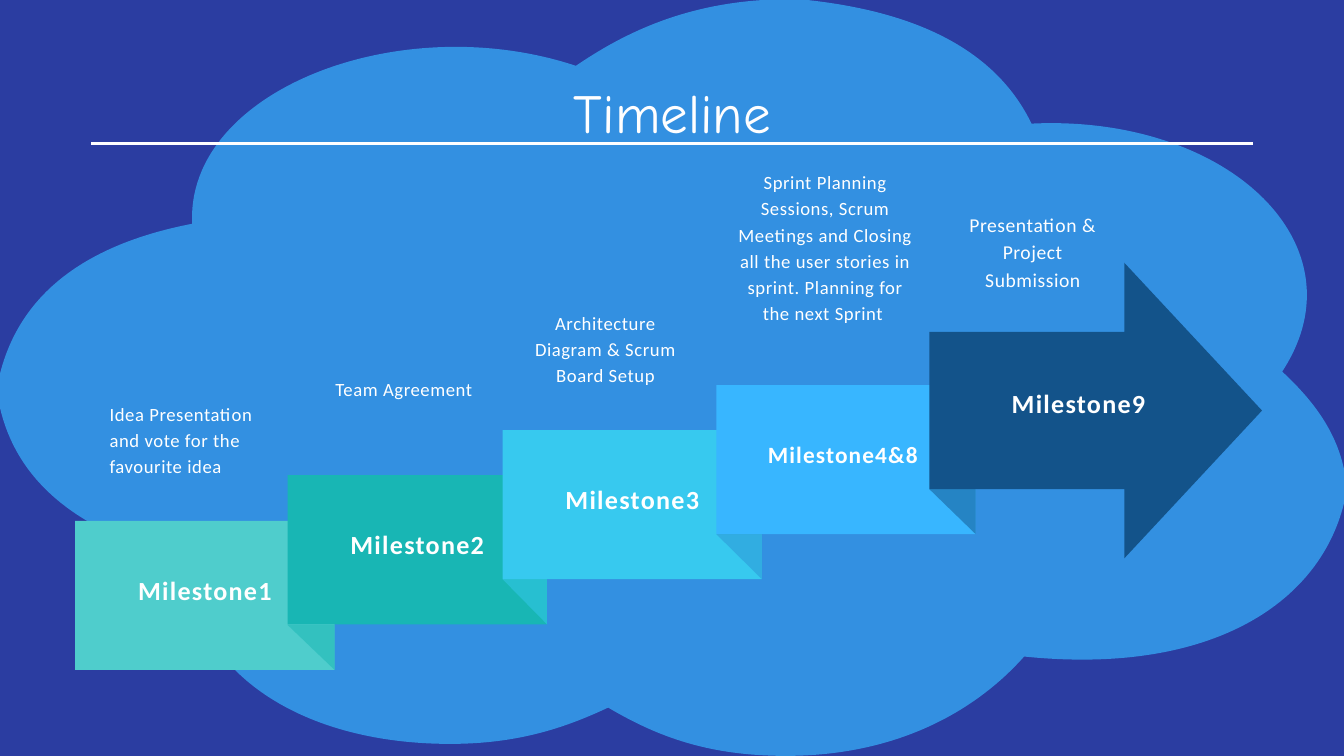
from dataclasses import dataclass
from pptx import Presentation
from pptx.dml.color import RGBColor
from pptx.enum.shapes import MSO_CONNECTOR, MSO_SHAPE
from pptx.enum.text import MSO_ANCHOR, MSO_AUTO_SIZE, PP_ALIGN
from pptx.oxml.ns import qn
from pptx.util import Inches, Pt
from lxml.etree import SubElement


@dataclass(frozen=True)
class Theme:
    back: str = "2B3DA1"
    sky: str = "38B6FF"
    white: str = "FFFFFF"
    pale: str = "FEFEFF"
    navy: str = "13538A"
    fold: str = "2C92D5"
    mint: str = "4FCDCC"
    teal: str = "18B6B4"
    cyan: str = "37C9EF"
    head: str = "Comic Neue"
    body: str = "Calibri"
    title: int = 59
    label: int = 28
    small: int = 25
    note: int = 20
    last: int = 21


class Deck:
    def __init__(self, theme):
        self.theme = theme
        self.file = Presentation()
        self.file.slide_width = Inches(20)
        self.file.slide_height = Inches(11.25)
        self.slide = self.file.slides.add_slide(self.file.slide_layouts[6])
        fill = self.slide.background.fill
        fill.solid()
        fill.fore_color.rgb = RGBColor.from_string(theme.back)

    def paint(self, shape, color, alpha=100):
        shape.shadow.inherit = False
        shape.line.fill.background()
        shape.fill.solid()
        shape.fill.fore_color.rgb = RGBColor.from_string(color)
        if alpha < 100:
            tint = shape.fill._xPr.find(qn("a:solidFill"))[0]
            SubElement(tint, qn("a:alpha")).set("val", str(alpha * 1000))
        return shape

    def block(self, kind, box, color):
        shape = self.slide.shapes.add_shape(kind, *map(Inches, box))
        return self.paint(shape, color)

    def outline(self, points, color, alpha):
        spots = [(Inches(x), Inches(y)) for x, y in points]
        pen = self.slide.shapes.build_freeform(*spots[0], scale=1.0)
        pen.add_line_segments(spots[1:], close=True)
        return self.paint(pen.convert_to_shape(), color, alpha)

    def curve(self, points, color, alpha):
        """Outline whose points after the first are Bezier triples."""
        shape = self.outline(points, color, alpha)
        lines = list(shape._element.iter(qn("a:lnTo")))
        for first, second, third in zip(*[iter(lines)] * 3):
            first.tag = qn("a:cubicBezTo")
            for other in (second, third):
                first.append(other[0])
                other.getparent().remove(other)

    def rule(self, start, end, color, width):
        line = self.slide.shapes.add_connector(
            MSO_CONNECTOR.STRAIGHT, *map(Inches, start + end))
        line.line.color.rgb = RGBColor.from_string(color)
        line.line.width = Pt(width)
        SubElement(line._element.spPr, qn("a:effectLst"))

    def text(self, words, box, size, color, font=None, space=0, bold=False,
             align=PP_ALIGN.CENTER, inset=0, middle=False):
        frame = self.slide.shapes.add_textbox(*map(Inches, box)).text_frame
        frame.word_wrap = True
        frame.margin_left = frame.margin_right = Inches(inset)
        frame.margin_top = frame.margin_bottom = Inches(inset)
        if middle:
            frame.vertical_anchor = MSO_ANCHOR.MIDDLE
        else:
            frame.auto_size = MSO_AUTO_SIZE.SHAPE_TO_FIT_TEXT
        frame.text = words
        para = frame.paragraphs[0]
        para.alignment = align
        para.line_spacing = Pt(size * 1.4)
        run = para.runs[0]
        run.font.size = Pt(size)
        run.font.name = font or self.theme.body
        run.font.bold = bold
        run.font.color.rgb = RGBColor.from_string(color)
        if space:
            run.font._element.set("spc", str(round(space * 100)))

    def label(self, words, box, size):
        self.text(words, box, size, self.theme.white, space=size / 20,
                  bold=True, inset=0.06, middle=True)


CLOUD = [
    (11.36, 0),
    (11.57, 0), (11.8, 0), (12.01, 0),
    (13.76, 0.19), (14.85, 0.81), (15.35, 1.84),
    (18.26, 1.7), (20.32, 3.64), (19.08, 5.53),
    (19.51, 5.93), (19.87, 6.38), (20, 6.98),
    (20, 7.15), (20, 7.32), (20, 7.49),
    (19.62, 9.02), (17.96, 10.05), (15.24, 9.77),
    (14.54, 10.56), (13.29, 11.34), (11.36, 11.24),
    (10.35, 11.19), (9.66, 10.89), (9.05, 10.53),
    (8.41, 10.83), (7.71, 11.07), (6.7, 11.07),
    (4.38, 11.07), (2.82, 9.92), (2.78, 8.33),
    (1.29, 7.96), (0.28, 7.26), (0, 6.07),
    (0, 5.9), (0, 5.73), (0, 5.56),
    (0.3, 4.38), (1.26, 3.64), (2.86, 3.33),
    (2.76, 1.35), (5.95, 0.11), (8.57, 0.98),
    (9.2, 0.55), (10.08, 0.08), (11.36, 0),
]
WIDE, HIGH, RISE = 3.86, 2.22, 0.67


def main():
    theme = Theme()
    deck = Deck(theme)
    deck.curve(CLOUD, theme.sky, 69)
    deck.rule((1.36, 2.13), (18.64, 2.13), theme.pale, 3)

    steps = [
        ("Milestone1", 1.12, 7.75, theme.mint, theme.label),
        ("Milestone2", 4.28, 7.07, theme.teal, theme.label),
        ("Milestone3", 7.48, 6.4, theme.cyan, theme.label),
        ("Milestone4&8 ", 10.66, 5.73, theme.sky, theme.small),
    ]

    def fold(index, left, color):
        """Shaded corner of a step, tucked under the next one."""
        x, y = steps[index][1:3]
        right, base = x + WIDE, y + HIGH
        deck.outline([(left, base - RISE), (right, base - RISE),
                      (right, base)], color, 50)

    shades = [theme.teal, theme.cyan, theme.fold]
    for index, (words, x, y, color, size) in enumerate(steps):
        deck.block(MSO_SHAPE.RECTANGLE, (x, y, WIDE, HIGH), color)
        deck.label(words, (x, y - 0.24, WIDE, HIGH + 0.24), size)
        if index:
            fold(index - 1, x, shades[index - 1])

    arrow = deck.block(MSO_SHAPE.RIGHT_ARROW, (13.83, 3.91, 4.95, 4.4),
                       theme.navy)
    arrow.adjustments[0] = 2.34 / 4.4
    arrow.adjustments[1] = 2.05 / 4.4
    deck.label("Milestone9", (13.83, 4.65, 4.44, 2.63), theme.label)
    fold(3, 13.83, theme.navy)

    deck.text("Timeline", (6.97, 1, 6.07, 1.11), theme.title, theme.pale,
              theme.head)
    deck.text("Idea Presentation and vote for the favourite idea",
              (1.63, 5.94, 2.38, 1.15), theme.note, theme.white, space=0.6,
              align=PP_ALIGN.LEFT)
    notes = [
        ("Team Agreement", (4.98, 5.56, 2.06, 0.77)),
        ("Architecture Diagram & Scrum Board Setup",
         (7.8, 4.58, 2.42, 1.15)),
        ("Sprint Planning Sessions, Scrum Meetings and Closing all the user "
         "stories in sprint. Planning for the next Sprint ",
         (10.94, 2.49, 2.68, 2.69)),
    ]
    for words, box in notes:
        deck.text(words, box, theme.note, theme.white, space=0.6)
    deck.text("Presentation & Project Submission", (14.34, 3.11, 2.06, 1.21),
              theme.last, theme.pale, space=0.6)
    deck.file.save("out.pptx")


if __name__ == "__main__":
    main()
